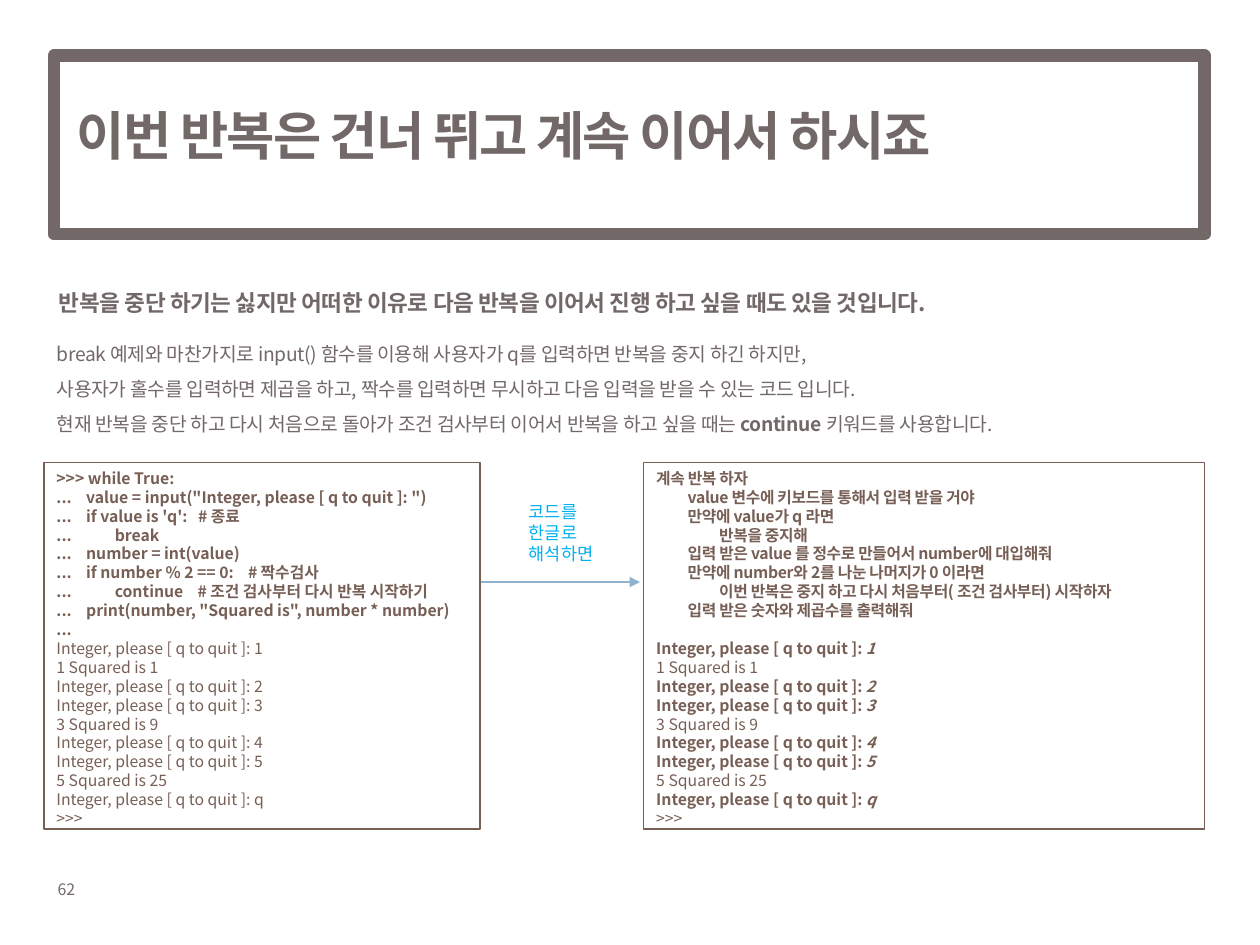
from lxml.etree import SubElement
from pptx import Presentation
from pptx.dml.color import RGBColor
from pptx.enum.shapes import MSO_CONNECTOR as CONN, MSO_SHAPE as SHAPE
from pptx.enum.text import MSO_ANCHOR as ANCHOR, MSO_AUTO_SIZE as AUTO, PP_ALIGN as ALIGN
from pptx.oxml.ns import qn
from pptx.util import Inches, Pt

FONT = "Noto Sans CJK KR"
COLORS = {"text": "726868", "code": "775F55", "arrow": "8FB2CF", "label": "00B0F0"}
CODE = [
    ">>> while True:",
    '...    value = input("Integer, please [ q to quit ]: ")',
    "...    if value is 'q':   # 종료",
    "...            break",
    "...    number = int(value)",
    "...    if number % 2 == 0:    # 짝수검사",
    "...            continue    # 조건 검사부터 다시 반복 시작하기",
    '...    print(number, "Squared is", number * number)',
    "...",
]
MEANING = [
    (0, "계속 반복 하자"),
    (1, "value 변수에 키보드를 통해서 입력 받을 거야"),
    (1, "만약에 value가 q 라면"),
    (2, "반복을 중지해"),
    (1, "입력 받은 value 를 정수로 만들어서 number에 대입해줘"),
    (1, "만약에 number와 2를 나눈 나머지가 0 이라면"),
    (2, "이번 반복은 중지 하고 다시 처음부터( 조건 검사부터) 시작하자"),
    (1, "입력 받은 숫자와 제곱수를 출력해줘"),
]
PROMPT = "Integer, please [ q to quit ]: "
SESSION = [("1", "1 Squared is 1"), ("2", None), ("3", "3 Squared is 9"),
           ("4", None), ("5", "5 Squared is 25"), ("q", ">>>")]
BODY = [
    [("break 예제와 마찬가지로 input() 함수를 이용해 사용자가 q를 입력하면 반복을 중지 하긴 하지만,", False)],
    [("사용자가 홀수를 입력하면 제곱을 하고, 짝수를 입력하면 무시하고 다음 입력을 받을 수 있는 코드 입니다.", False)],
    [("현재 반복을 중단 하고 다시 처음으로 돌아가 조건 검사부터 이어서 반복을 하고 싶을 때는 ", False),
     ("continue", True), (" 키워드를 사용합니다.", False)],
]


def rgb(name):
    return RGBColor.from_string(COLORS[name])


def box(x, y, w, h):
    return Inches(x), Inches(y), Inches(w), Inches(h)


def add_run(p, text, size=9, color="code", bold=False, italic=False, spacing=0):
    r = p.add_run()
    r.text = text
    r.font.size = Pt(size)
    r.font.bold = bold
    r.font.italic = italic
    r.font.color.rgb = rgb(color)
    r.font.name = FONT
    rPr = r.font._element
    SubElement(rPr, qn("a:ea")).set("typeface", FONT)
    if spacing:
        rPr.set("spc", str(round(spacing * 100)))


def add_paragraph(tf, line=None, before=0, indent=0):
    first = tf.paragraphs[0]
    p = tf.add_paragraph() if first.runs else first
    p.alignment = ALIGN.LEFT
    p.space_before = Pt(before)
    if line:
        p.line_spacing = Pt(line)
    pPr = p._p.get_or_add_pPr()
    pPr.set("marL", str(Inches(indent)))
    pPr.set("indent", "0")
    SubElement(pPr, qn("a:buNone"))
    return p


def setup_frame(shape, anchor=ANCHOR.TOP, wrap=True):
    tf = shape.text_frame
    tf.word_wrap = wrap
    tf.auto_size = AUTO.NONE
    tf.vertical_anchor = anchor
    return tf


def place(shape, x, y, w, h):
    shape.left, shape.top, shape.width, shape.height = box(x, y, w, h)
    return shape


def add_textbox(s, x, y, w, h, lines, line=None, wrap=True, **fmt):
    tf = setup_frame(s.shapes.add_textbox(*box(x, y, w, h)), wrap=wrap)
    for text in lines:
        add_run(add_paragraph(tf, line), text, **fmt)


def add_outline(s, x, y, w, h, color, width):
    shape = s.shapes.add_shape(SHAPE.RECTANGLE, *box(x, y, w, h))
    shape.shadow.inherit = False
    shape.fill.background()
    shape.line.color.rgb = rgb(color)
    shape.line.width = Pt(width)
    return setup_frame(shape)


def add_session(tf, line, before=0, **answer):
    for i, (entry, result) in enumerate(SESSION):
        p = add_paragraph(tf, line, before if i == 0 else 0)
        add_run(p, PROMPT, bold=answer.get("bold", False))
        add_run(p, entry, **answer)
        if result:
            add_run(add_paragraph(tf, line), result)


def add_arrow(s, x1, y1, x2, y2):
    c = s.shapes.add_connector(CONN.STRAIGHT, Inches(x1), Inches(y1), Inches(x2), Inches(y2))
    c.line.color.rgb = rgb("arrow")
    c.line.width = Pt(0.75)
    SubElement(c.line._get_or_add_ln(), qn("a:tailEnd")).set("type", "triangle")
    SubElement(c._element.spPr, qn("a:effectLst"))


def main():
    prs = Presentation()
    prs.slide_width, prs.slide_height = Inches(10), Inches(7.5)
    s = prs.slides.add_slide(prs.slide_layouts[1])

    title = setup_frame(place(s.shapes.title, 0.51, 0.44, 8.11, 1.26), ANCHOR.MIDDLE)
    add_run(add_paragraph(title), "이번 반복은 건너 뛰고 계속 이어서 하시죠",
            size=30, color="text", bold=True, spacing=-1)
    add_outline(s, 0.43, 0.44, 9.13, 1.42, "text", 7)

    body = setup_frame(place(s.placeholders[1], 0.35, 2.57, 9.1, 0.94))
    for runs in BODY:
        p = add_paragraph(body, 20)
        for text, bold in runs:
            add_run(p, text, size=11, color="text", bold=bold, spacing=-0.2)
    add_textbox(s, 0.37, 2.18, 9.2, 0.39,
                ["반복을 중단 하기는 싫지만 어떠한 이유로 다음 반복을 이어서 진행 하고 싶을 때도 있을 것입니다."],
                line=20, size=12.9, color="text", bold=True, spacing=-0.2)

    line = 10.8
    code = add_outline(s, 0.35, 3.67, 3.46, 2.91, "code", 0.75)
    for text in CODE:
        add_run(add_paragraph(code, line), text, bold=True)
    add_session(code, line)

    meaning = add_outline(s, 5.11, 3.67, 4.45, 2.91, "code", 0.75)
    for level, text in MEANING:
        add_run(add_paragraph(meaning, line, indent=level * 0.25), text, bold=True, spacing=-0.2)
    add_session(meaning, line, before=line, bold=True, italic=True)

    add_arrow(s, 3.82, 4.62, 5.08, 4.62)
    add_textbox(s, 4.1, 3.93, 0.73, 0.61, ["코드를", "한글로", "해석하면"],
                line=12, wrap=False, size=10, color="label")
    add_textbox(s, 0.36, 6.93, 0.52, 0.25, ["62"], line=line, wrap=False, color="text")
    prs.save("out.pptx")


if __name__ == "__main__":
    main()
